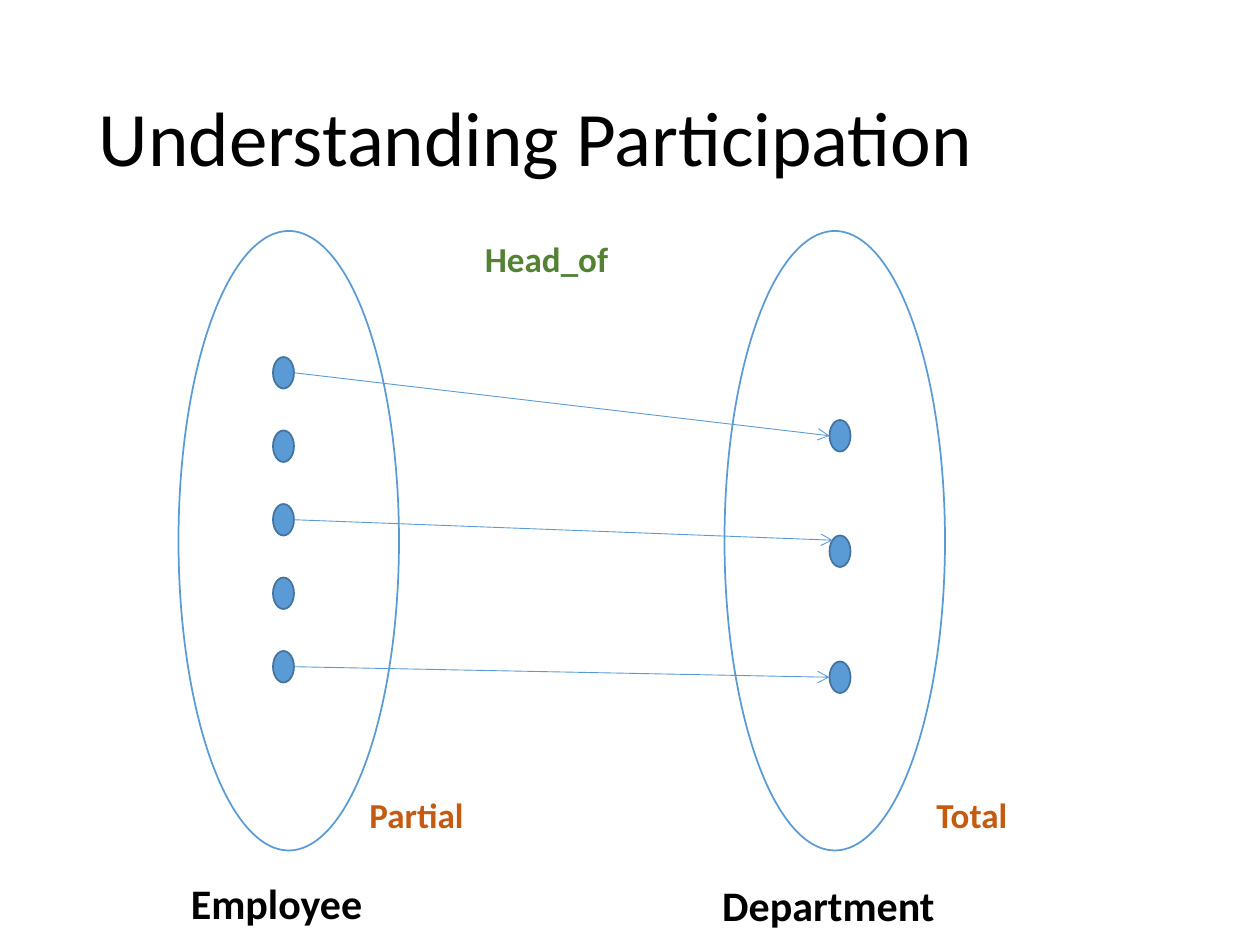
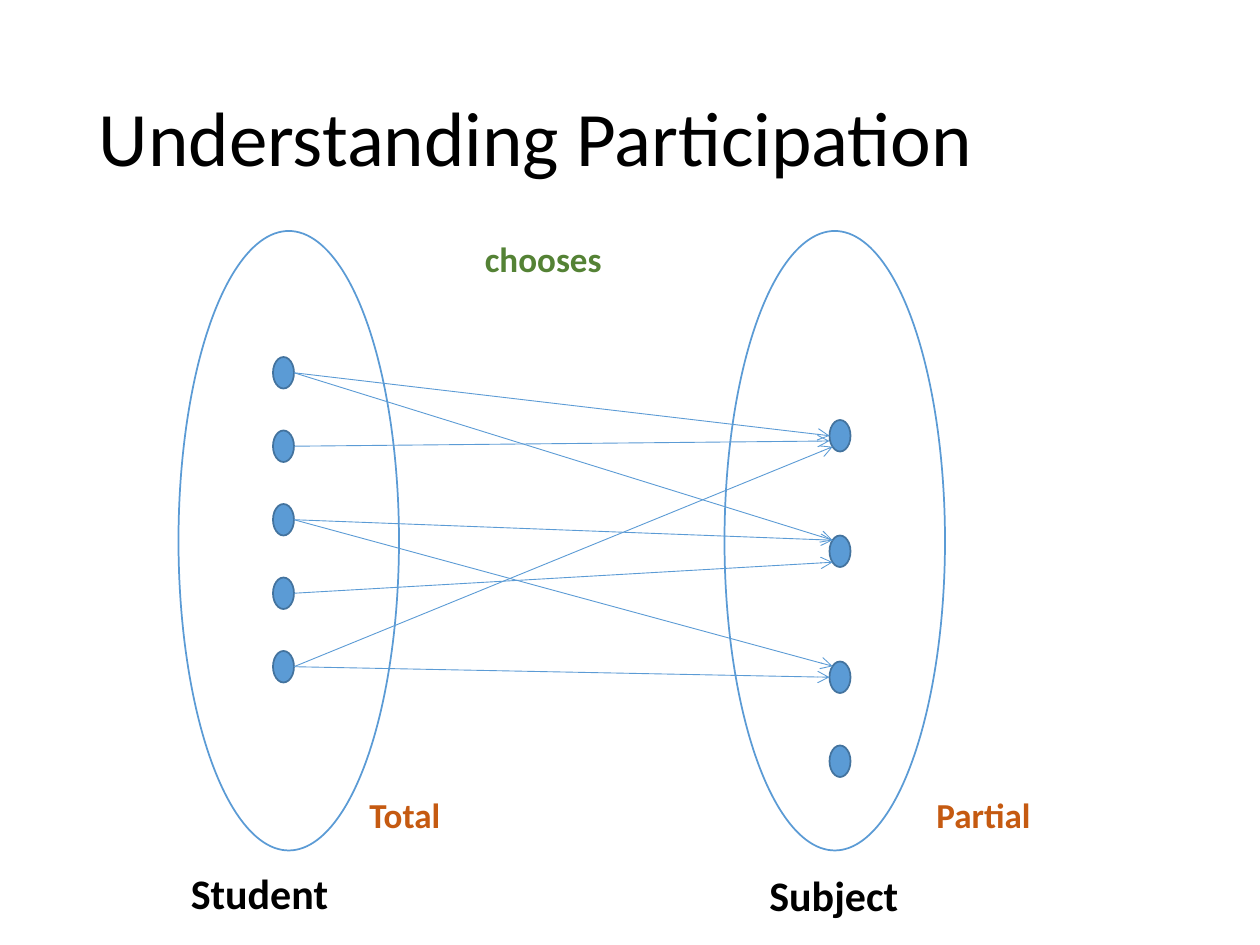
from lxml import etree
from pptx import Presentation
from pptx.dml.color import RGBColor
from pptx.enum.shapes import MSO_CONNECTOR, MSO_SHAPE
from pptx.enum.text import MSO_ANCHOR, MSO_AUTO_SIZE
from pptx.oxml.ns import qn
from pptx.util import Inches, Pt

# Shared style
BLUE = RGBColor(0x5B, 0x9B, 0xD5)
DARK_BLUE = RGBColor(0x43, 0x73, 0x9E)
GREEN = RGBColor(0x54, 0x82, 0x35)
ORANGE = RGBColor(0xC5, 0x5A, 0x11)
BLACK = RGBColor(0, 0, 0)
WHITE = RGBColor(0xFF, 0xFF, 0xFF)
FONT = "Calibri"
TITLE = "Understanding Participation"
OVAL = MSO_SHAPE.OVAL
STRAIGHT = MSO_CONNECTOR.STRAIGHT
MIDDLE = MSO_ANCHOR.MIDDLE
GROW = MSO_AUTO_SIZE.SHAPE_TO_FIT_TEXT

# Grid of 120 columns by 90 rows, all positions below count in cells
COLUMNS, ROWS = 120, 90
CELL = Inches(10) / COLUMNS
SET_COLUMNS = [17, 69]
SET_TOP, SET_WIDTH, SET_HEIGHT = 22, 21, 59
DOT_WIDTH, DOT_HEIGHT = 2, 3
LEFT_DOT, RIGHT_DOT = 26, 79
LEFT_ROWS = [34 + 7 * step for step in range(5)]
RIGHT_ROWS = [40, 51, 63, 71]

# Where an arrow may touch a right-hand dot, from the dot's corner
TOUCH = {"upper": (0.3, 0.45), "middle": (0, 1.5),
         "below": (0, 2), "lower": (0.3, 2.55)}

# Set names: text, column, row, width. Arrows: left dot, right dot, touch
diagrams = [
    {"relation": ("Head_of", 14.3),
     "sets": [("Employee", 17, 83, 19), ("Department", 67.6, 83.2, 22.9)],
     "participation": [("Partial", 11.5), ("Total", 9.2)],
     "right_dots": 3,
     "arrows": [(0, 0, "middle"), (2, 1, "upper"), (4, 2, "middle")]},
    {"relation": ("chooses", 13.7),
     "sets": [("Student", 17, 82, 15.6), ("Subject", 72.1, 82.2, 14.9)],
     "participation": [("Total", 9.2), ("Partial", 11.5)],
     "right_dots": 4,
     "arrows": [(0, 0, "middle"), (1, 0, "below"), (2, 1, "upper"),
                (3, 1, "lower"), (4, 2, "middle"), (0, 1, "upper"),
                (4, 0, "lower"), (2, 2, "upper")]},
]


def cells(*counts):
    return [round(count * CELL) for count in counts]


def add_text(page, text, place, size, color, bold=True):
    box = page.shapes.add_textbox(*cells(*place))
    frame = box.text_frame
    frame.word_wrap = False
    para = frame.paragraphs[0]
    para.text = text
    para.font.name = FONT
    para.font.size = Pt(size)
    para.font.bold = bold
    para.font.color.rgb = color
    return frame


deck = Presentation()
deck.slide_width, deck.slide_height = cells(COLUMNS, ROWS)
blank = deck.slide_layouts[6]

for diagram in diagrams:
    page = deck.slides.add_slide(blank)

    # Title
    title = add_text(page, TITLE, (8.25, 4.8, 103.5, 17.4), 44, BLACK, False)
    title.word_wrap = True
    title.vertical_anchor = MIDDLE
    title.paragraphs[0].line_spacing = 0.9

    # Two large sets, then their members
    ovals = [(column, SET_TOP, SET_WIDTH, SET_HEIGHT, WHITE, BLUE)
             for column in SET_COLUMNS]
    right_rows = RIGHT_ROWS[:diagram["right_dots"]]
    for column, rows in ((LEFT_DOT, LEFT_ROWS), (RIGHT_DOT, right_rows)):
        ovals += [(column, row, DOT_WIDTH, DOT_HEIGHT, BLUE, DARK_BLUE)
                  for row in rows]
    for *place, fill, outline in ovals:
        oval = page.shapes.add_shape(OVAL, *cells(*place))
        oval.shadow.inherit = False
        oval.fill.solid()
        oval.fill.fore_color.rgb = fill
        oval.line.color.rgb = outline
        oval.line.width = Pt(1)

    # Arrows from left members to right members
    for source, target, touch in diagram["arrows"]:
        across, down = TOUCH[touch]
        arrow = page.shapes.add_connector(STRAIGHT, *cells(
            LEFT_DOT + DOT_WIDTH, LEFT_ROWS[source] + DOT_HEIGHT / 2,
            RIGHT_DOT + across, RIGHT_ROWS[target] + down))
        arrow.line.color.rgb = BLUE
        arrow.line.width = Pt(0.5)
        etree.SubElement(arrow.line._get_or_add_ln(), qn("a:tailEnd"), type="arrow")
        etree.SubElement(arrow._element.spPr, qn("a:effectLst"))

    # Names of the sets, the relation and the participation
    labels = [(text, (column, row, width, 6), 24, BLACK)
              for text, column, row, width in diagram["sets"]]
    relation, width = diagram["relation"]
    labels.append((relation, (45, SET_TOP, width, 5.25), 20, GREEN))
    for column, (text, width) in zip((34, 88), diagram["participation"]):
        labels.append((text, (column, 75, width, 5.25), 20, ORANGE))
    for label in labels:
        add_text(page, *label).auto_size = GROW

deck.save("out.pptx")
